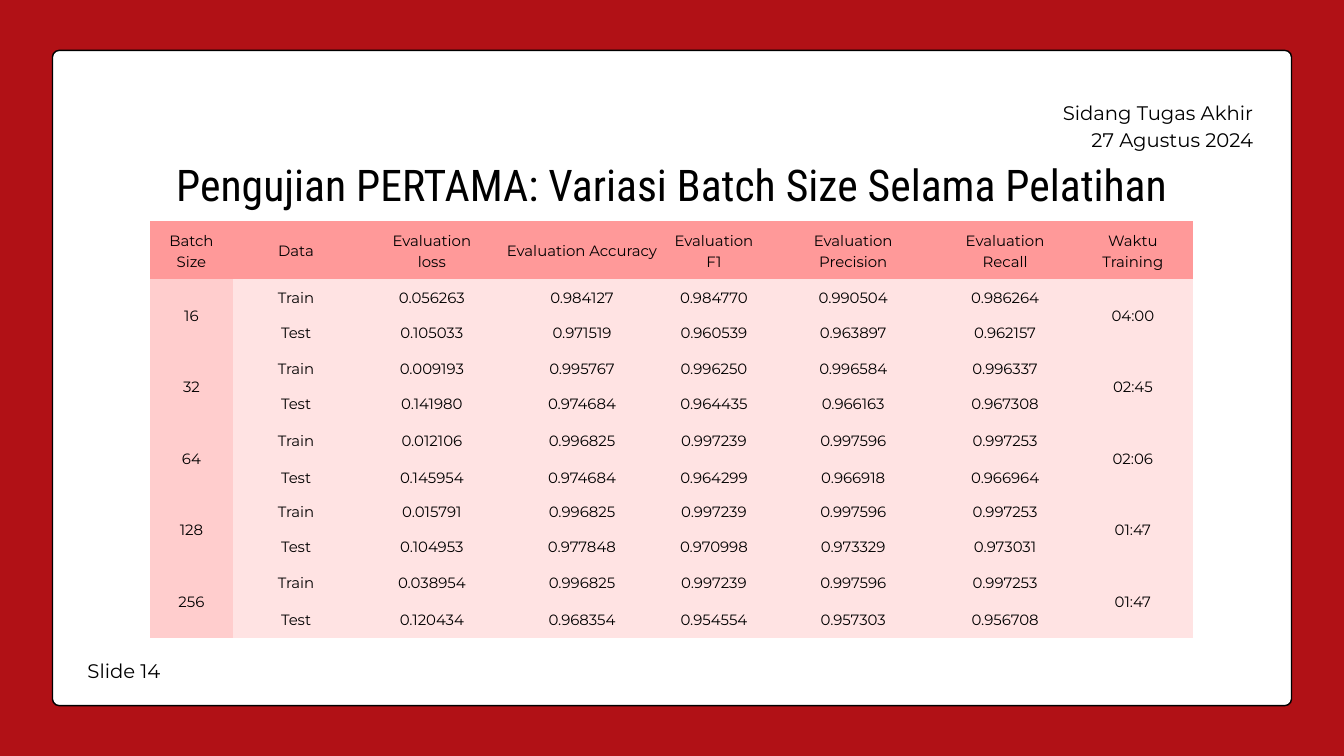
from pptx import Presentation
from pptx.dml.color import RGBColor
from pptx.enum.shapes import MSO_SHAPE
from pptx.enum.text import MSO_ANCHOR, PP_ALIGN
from pptx.oxml.ns import qn
from pptx.util import Pt

PX = 9525
WIDTH, HEIGHT = 1920, 1080
BLACK, WHITE, RED = "000000", "FFFFFF", "B11116"
HEADING_FILL, BATCH_FILL, BODY_FILL = "FF9999", "FFCDCD", "FFE3E3"
NO_STYLE_NO_GRID = "{2D5ABB26-0587-4C30-8999-92F81FD0307C}"

TITLE = {"size": 46.8, "name": "Roboto Condensed", "leading": 47.2}
NOTE = {"size": 21, "name": "Montserrat", "leading": 29.4}
CELL = {"size": 16, "name": "Montserrat", "leading": 22.4}

COLUMN_WIDTHS = [119, 180, 208, 221, 156, 242, 192, 173]
ROW_HEIGHTS = [82, 51, 51, 50, 51, 54, 51, 49, 51, 51, 54]
HEADINGS = ["Batch\nSize", "Data", "Evaluation\nloss", "Evaluation Accuracy",
            "Evaluation\nF1", "Evaluation\nPrecision", "Evaluation\nRecall",
            "Waktu\nTraining"]
# Batch size, training time, train scores, test scores
RESULTS = [
    ("16", "04:00", "0.056263 0.984127 0.984770 0.990504 0.986264",
     "0.105033 0.971519 0.960539 0.963897 0.962157"),
    ("32", "02:45", "0.009193 0.995767 0.996250 0.996584 0.996337",
     "0.141980 0.974684 0.964435 0.966163 0.967308"),
    ("64", "02:06", "0.012106 0.996825 0.997239 0.997596 0.997253",
     "0.145954 0.974684 0.964299 0.966918 0.966964"),
    ("128", "01:47", "0.015791 0.996825 0.997239 0.997596 0.997253",
     "0.104953 0.977848 0.970998 0.973329 0.973031"),
    ("256", "01:47", "0.038954 0.996825 0.997239 0.997596 0.997253",
     "0.120434 0.968354 0.954554 0.957303 0.956708"),
]


def px(*lengths):
    return [length * PX for length in lengths]


def paint(fill, color):
    fill.solid()
    fill.fore_color.rgb = RGBColor.from_string(color)


def write(frame, text, style, align):
    frame.text = text
    for paragraph in frame.paragraphs:
        paragraph.alignment = align
        paragraph.line_spacing = Pt(style["leading"])
        for run in paragraph.runs:
            font_format = {"size": Pt(style["size"]), "name": style["name"], "bold": False}
            for attribute, value in font_format.items():
                setattr(run.font, attribute, value)
            paint(run.font.fill, BLACK)


def clear_margins(holder):
    for side in ("left", "right", "top", "bottom"):
        setattr(holder, f"margin_{side}", 0)


def add_panel(slide, box):
    panel = slide.shapes.add_shape(MSO_SHAPE.ROUNDED_RECTANGLE, *px(*box))
    panel.adjustments[0] = 0.01
    panel.shadow.inherit = False
    paint(panel.fill, WHITE)
    paint(panel.line.fill, BLACK)
    panel.line.width = Pt(1.5)
    slide.shapes.title._element.addprevious(panel._element)


def add_title(slide, box, text):
    title = slide.shapes.title
    for attribute, value in zip(("left", "top", "width", "height"), px(*box)):
        setattr(title, attribute, value)
    clear_margins(title.text_frame)
    title.text_frame.vertical_anchor = MSO_ANCHOR.TOP
    write(title.text_frame, text, TITLE, PP_ALIGN.CENTER)


def add_note(slide, box, text, align):
    frame = slide.shapes.add_textbox(*px(*box)).text_frame
    frame.word_wrap = True
    clear_margins(frame)
    write(frame, text, NOTE, align)


def fill_cell(cell, text, color):
    paint(cell.fill, color)
    clear_margins(cell)
    cell.vertical_anchor = MSO_ANCHOR.MIDDLE
    write(cell.text_frame, text, CELL, PP_ALIGN.CENTER)


def add_results(slide, left, top):
    rows = [HEADINGS]
    for batch, time, train, test in RESULTS:
        rows.append([batch, "Train", *train.split(), time])
        rows.append(["", "Test", *test.split(), ""])

    box = (left, top, sum(COLUMN_WIDTHS), sum(ROW_HEIGHTS))
    table = slide.shapes.add_table(len(rows), len(HEADINGS), *px(*box)).table
    table.first_row = table.horz_banding = False
    table._tbl.tblPr.find(qn("a:tableStyleId")).text = NO_STYLE_NO_GRID
    for column, width in zip(table.columns, px(*COLUMN_WIDTHS)):
        column.width = width
    for row, height in zip(table.rows, px(*ROW_HEIGHTS)):
        row.height = height

    for r, texts in enumerate(rows):
        for c, text in enumerate(texts):
            color = HEADING_FILL if r == 0 else BATCH_FILL if c == 0 else BODY_FILL
            fill_cell(table.cell(r, c), text, color)
    for r in range(1, len(rows), 2):
        for c in (0, len(HEADINGS) - 1):
            table.cell(r, c).merge(table.cell(r + 1, c))


def main():
    prs = Presentation()
    prs.slide_width, prs.slide_height = px(WIDTH, HEIGHT)
    slide = prs.slides.add_slide(prs.slide_layouts[5])
    paint(slide.background.fill, RED)
    add_panel(slide, (75, 72, 1770, 936))
    add_title(slide, (108, 237, 1704, 66),
              "Pengujian PERTAMA: Variasi Batch Size Selama Pelatihan")
    add_note(slide, (1069, 138, 721, 115),
             "Sidang Tugas Akhir\n27 Agustus 2024", PP_ALIGN.RIGHT)
    add_note(slide, (125, 935, 721, 35), "Slide 14", PP_ALIGN.JUSTIFY)
    add_results(slide, 214, 316)
    prs.save("out.pptx")


if __name__ == "__main__":
    main()
